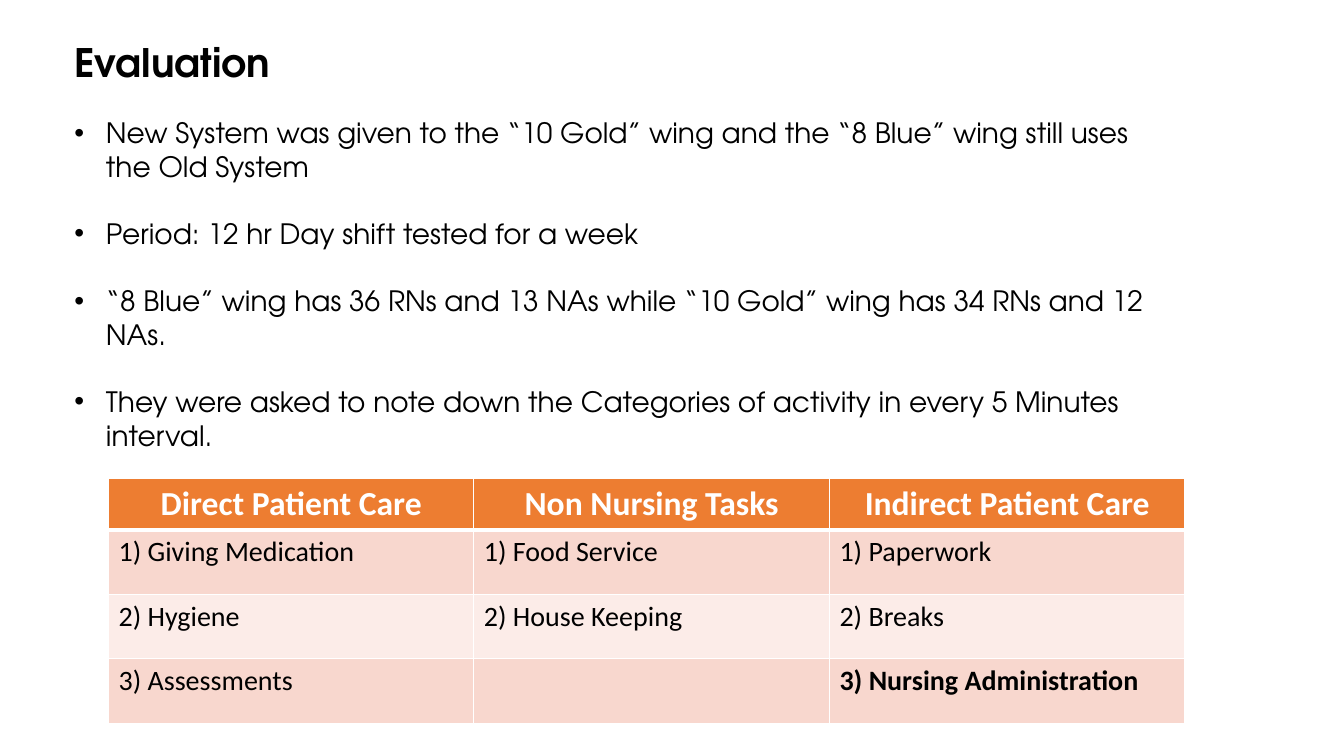
"""Build the Evaluation slide with a bullet list and an activity table."""
import pptx
import pptx.dml.color
import pptx.enum.text
import pptx.oxml
import pptx.oxml.ns
import pptx.util

Pt = pptx.util.Pt
RGBColor = pptx.dml.color.RGBColor
BLACK = RGBColor(0x00, 0x00, 0x00)
WHITE = RGBColor(0xFF, 0xFF, 0xFF)
ORANGE = RGBColor(0xED, 0x7D, 0x31)
PEACH = RGBColor(0xF8, 0xD7, 0xCE)
PALE = RGBColor(0xFC, 0xEC, 0xE8)
TEXT_FONT = "TeX Gyre Adventor"
TABLE_FONT = "Calibri"

BULLETS = [
    "New System was given to the “10 Gold” wing and the “8 Blue” wing still uses the Old System",
    "Period: 12 hr Day shift tested for a week",
    "“8 Blue” wing has 36 RNs and 13 NAs while “10 Gold” wing has 34 RNs and 12 NAs.",
    "They were asked to note down the Categories of activity in every 5 Minutes interval.",
]
ACTIVITIES = [
    ["Direct Patient Care", "Non Nursing Tasks", "Indirect Patient Care"],
    ["1) Giving Medication", "1) Food Service", "1) Paperwork"],
    ["2) Hygiene", "2) House Keeping", "2) Breaks"],
    ["3) Assessments", "", "3) Nursing Administration"],
]
BOLD_CELLS = {"3) Nursing Administration"}


def place(sp, left, top, width, height):
    """Move and size a shape, in points."""
    sp.left, sp.top, sp.width, sp.height = map(Pt, (left, top, width, height))


def style_runs(p, font, size, color, bold):
    """Format every run of a paragraph."""
    for r in p.runs:
        r.font.name = font
        r.font.size = Pt(size)
        r.font.bold = bold
        r.font.color.rgb = color


def fill_placeholder(sp, text, size, bold):
    """Write left-aligned text from the top of a placeholder."""
    tf = sp.text_frame
    tf.text = text
    tf.word_wrap = True
    tf.auto_size = pptx.enum.text.MSO_AUTO_SIZE.NONE
    tf.vertical_anchor = pptx.enum.text.MSO_ANCHOR.TOP
    for p in tf.paragraphs:
        p.alignment = pptx.enum.text.PP_ALIGN.LEFT
        p.space_before = Pt(0)
        style_runs(p, TEXT_FONT, size, BLACK, bold)


def format_bullets(tf, indent, gap):
    """Give paragraphs a hanging bullet and a gap below, in points."""
    for p in tf.paragraphs:
        p.space_after = Pt(gap)
        pPr = p._p.get_or_add_pPr()
        pPr.set("marL", str(Pt(indent)))
        pPr.set("indent", str(-Pt(indent)))
        pPr.append(pptx.oxml.parse_xml(
            f'<a:buChar {pptx.oxml.ns.nsdecls("a")} char="•"/>'))


def set_borders(cell, top, bottom):
    """Draw white cell borders with the given top and bottom widths."""
    tcPr = cell._tc.get_or_add_tcPr()
    for i, (side, width) in enumerate(zip("LRTB", (1, 1, top, bottom))):
        tcPr.insert(i, pptx.oxml.parse_xml(
            f'<a:ln{side} {pptx.oxml.ns.nsdecls("a")} w="{Pt(width)}">'
            f'<a:solidFill><a:srgbClr val="{WHITE}"/></a:solidFill></a:ln{side}>'))


def fill_cell(cell, text, row):
    """Write and format one table cell according to its row."""
    header = row == 0
    cell.text = text
    cell.fill.solid()
    cell.fill.fore_color.rgb = ORANGE if header else PEACH if row % 2 else PALE
    p = cell.text_frame.paragraphs[0]
    if header:
        p.alignment = pptx.enum.text.PP_ALIGN.CENTER
    style_runs(p, TABLE_FONT, 24 if header else 20,
               WHITE if header else BLACK, header or text in BOLD_CELLS)
    set_borders(cell, 3 if row == 1 else 1, 3 if header else 1)


def add_activity_table(s, left, top, widths, heights):
    """Add the table of activity categories."""
    table = s.shapes.add_table(len(heights), len(widths), Pt(left), Pt(top),
                               Pt(sum(widths)), Pt(sum(heights))).table
    for col, width in zip(table.columns, widths):
        col.width = Pt(width)
    for i, height in enumerate(heights):
        table.rows[i].height = Pt(height)
        for j, text in enumerate(ACTIVITIES[i]):
            fill_cell(table.cell(i, j), text, i)


def main():
    """Build and save the slide."""
    prs = pptx.Presentation()
    prs.slide_width, prs.slide_height = Pt(960), Pt(540)
    s = prs.slides.add_slide(prs.slide_layouts[1])
    title, body = s.placeholders
    place(title, 46, 24, 792, 42)
    fill_placeholder(title, "Evaluation", 28, True)
    place(body, 46, 79, 792, 250)
    fill_placeholder(body, "\n".join(BULLETS), 20, False)
    format_bullets(body.text_frame, 22.5, 24)
    add_activity_table(s, 77.5, 342, [261, 254, 254], [36.6, 46, 46, 46])
    prs.save("out.pptx")


if __name__ == "__main__":
    main()
